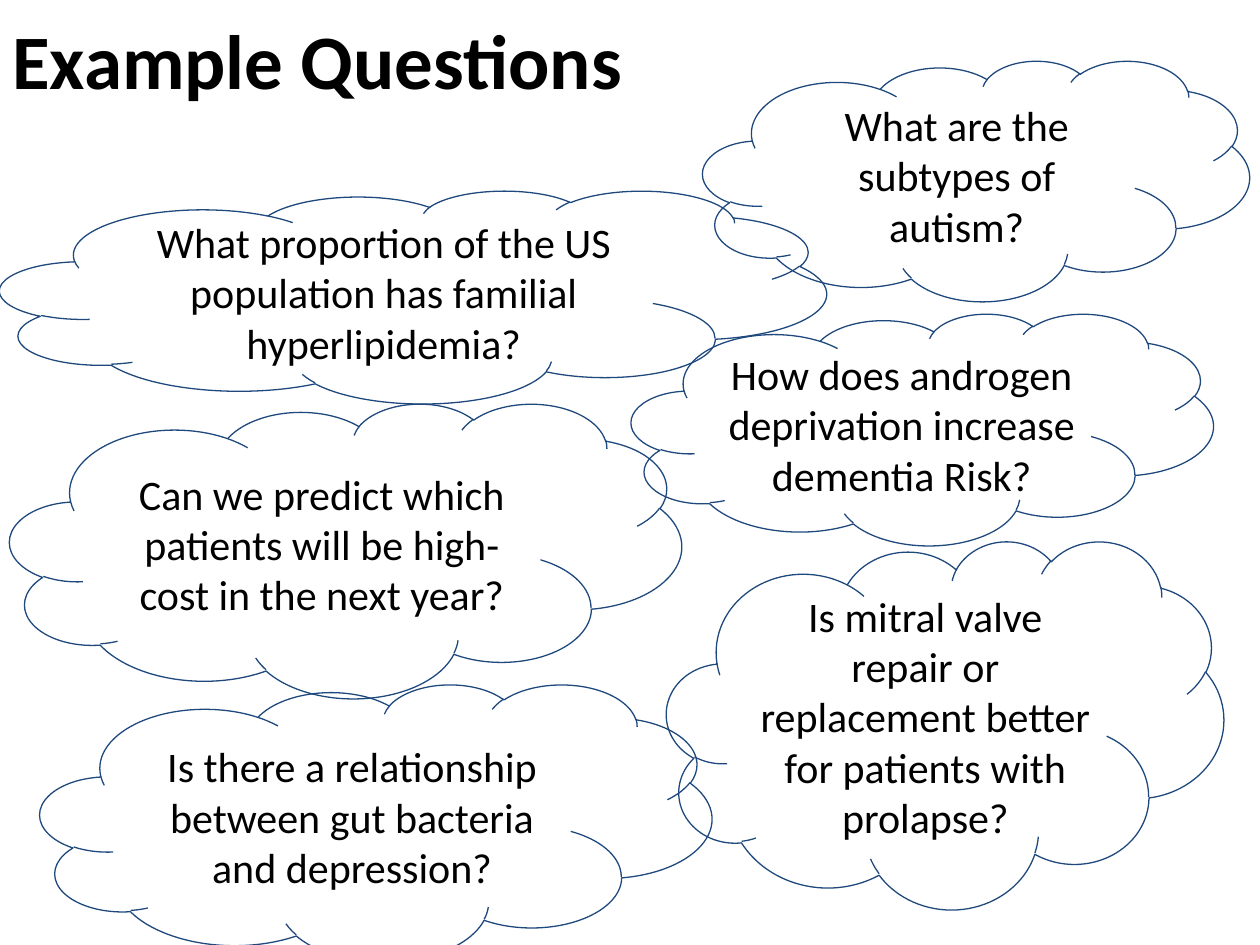
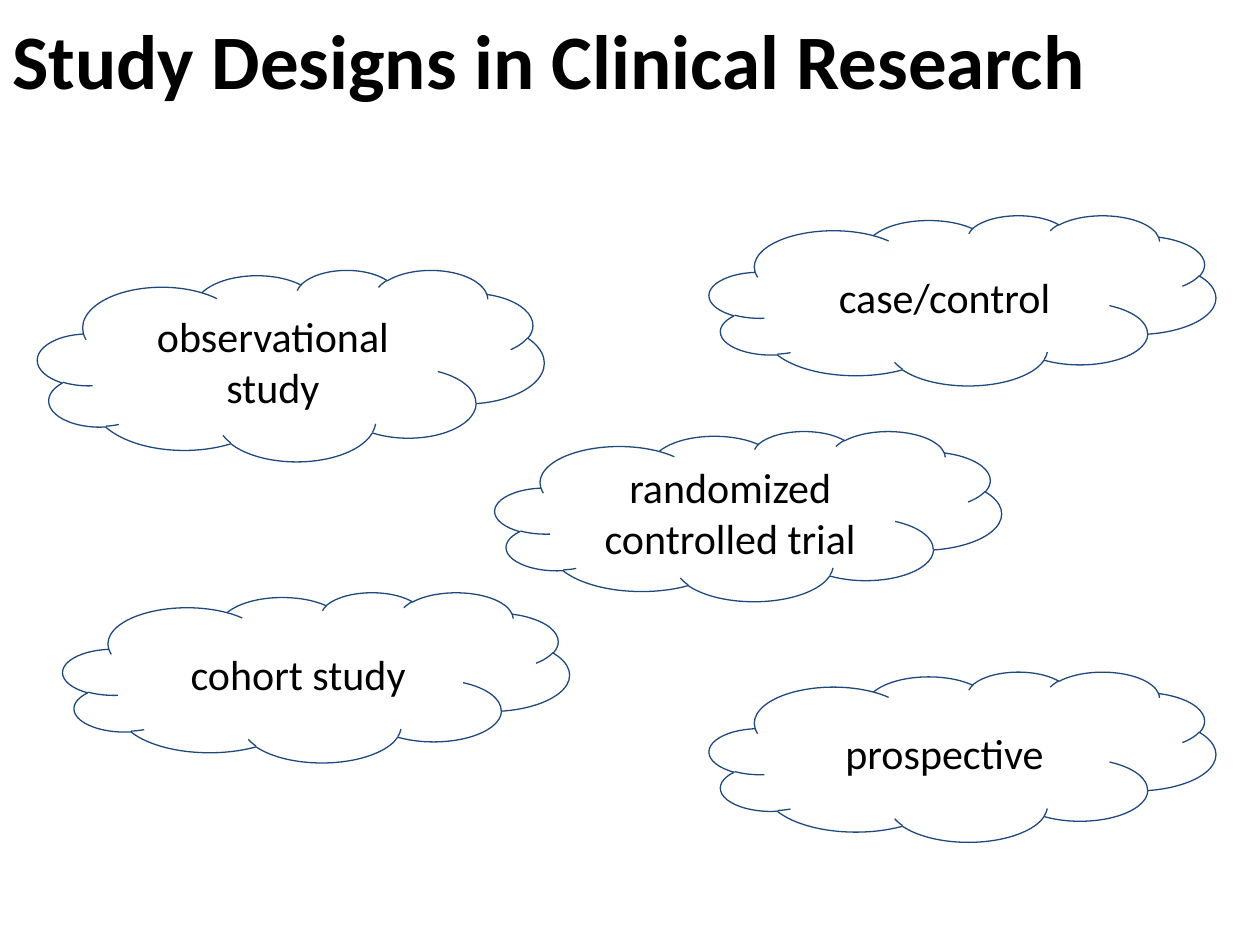
from dataclasses import dataclass

from pptx import Presentation
from pptx.dml.color import RGBColor
from pptx.enum.shapes import MSO_SHAPE
from pptx.enum.text import MSO_ANCHOR, PP_ALIGN
from pptx.util import Cm, Pt


@dataclass(frozen=True)
class Theme:
    font: str = "Calibri"
    text: RGBColor = RGBColor(0x00, 0x00, 0x00)
    outline: RGBColor = RGBColor(0x1F, 0x49, 0x7D)
    outline_width: float = 0.75
    title_size: float = 44
    body_size: float = 24
    space_before: float = 6.4
    inset: float = 0.25


THEME = Theme()
SLIDE_SIZE = (25.4, 19.05)
TITLE_BOX = (0, 0, 24.13, 3.18)

# Boxes are left, top, width, height in centimetres.
QUESTIONS = [
    ("What proportion of the US population has familial hyperlipidemia?",
     (0, 3.84, 16.66, 4.29)),
    ("What are the subtypes of autism?", (14.17, 1.22, 11.02, 4.85)),
    ("Is there a relationship between gut bacteria and depression?",
     (0.81, 13.79, 13.54, 5.59)),
    ("Can we predict which patients will be high-cost in the next year?",
     (0.2, 8.13, 13.54, 5.94)),
    ("Is mitral valve repair or replacement better for patients with prolapse?",
     (13.44, 10.9, 11.23, 7.42)),
    ("How does androgen deprivation increase dementia Risk?",
     (12.73, 6.32, 11.73, 4.67)),
]

DESIGN_SIZE = (10.21, 3.43)
RIGHT_COLUMN = 14.3
DESIGNS = [
    ("observational study", (0.76, 5.44, DESIGN_SIZE[0], 3.86)),
    ("case/control", (RIGHT_COLUMN, 4.34, *DESIGN_SIZE)),
    ("randomized controlled trial", (9.98, 8.69, *DESIGN_SIZE)),
    ("cohort study", (1.27, 11.94, *DESIGN_SIZE)),
    ("prospective", (RIGHT_COLUMN, 13.54, *DESIGN_SIZE)),
]


def set_text(sp, text, *, size, bold=False, align=PP_ALIGN.LEFT,
             anchor=MSO_ANCHOR.TOP, space_before=0):
    tf = sp.text_frame
    tf.word_wrap = True
    tf.vertical_anchor = anchor
    tf.margin_left = tf.margin_right = Cm(THEME.inset)
    tf.margin_top = tf.margin_bottom = Cm(THEME.inset)
    p = tf.paragraphs[0]
    p.alignment = align
    p.space_before = Pt(space_before)
    r = p.add_run()
    r.text = text
    r.font.name = THEME.font
    r.font.size = Pt(size)
    r.font.bold = bold
    r.font.color.rgb = THEME.text


def add_title(s, box, text):
    sp = s.shapes.add_textbox(*map(Cm, box))
    set_text(sp, text, size=THEME.title_size, bold=True)


def add_cloud(s, box, text):
    sp = s.shapes.add_shape(MSO_SHAPE.CLOUD, *map(Cm, box))
    sp.shadow.inherit = False
    sp.fill.background()
    sp.line.color.rgb = THEME.outline
    sp.line.width = Pt(THEME.outline_width)
    set_text(sp, text, size=THEME.body_size, align=PP_ALIGN.CENTER,
             anchor=MSO_ANCHOR.MIDDLE, space_before=THEME.space_before)


def add_cloud_slide(prs, title, clouds):
    s = prs.slides.add_slide(prs.slide_layouts[6])
    add_title(s, TITLE_BOX, title)
    for text, box in clouds:
        add_cloud(s, box, text)


def main():
    prs = Presentation()
    prs.slide_width, prs.slide_height = map(Cm, SLIDE_SIZE)
    add_cloud_slide(prs, "Example Questions", QUESTIONS)
    add_cloud_slide(prs, "Study Designs in Clinical Research", DESIGNS)
    prs.save("out.pptx")


if __name__ == "__main__":
    main()
